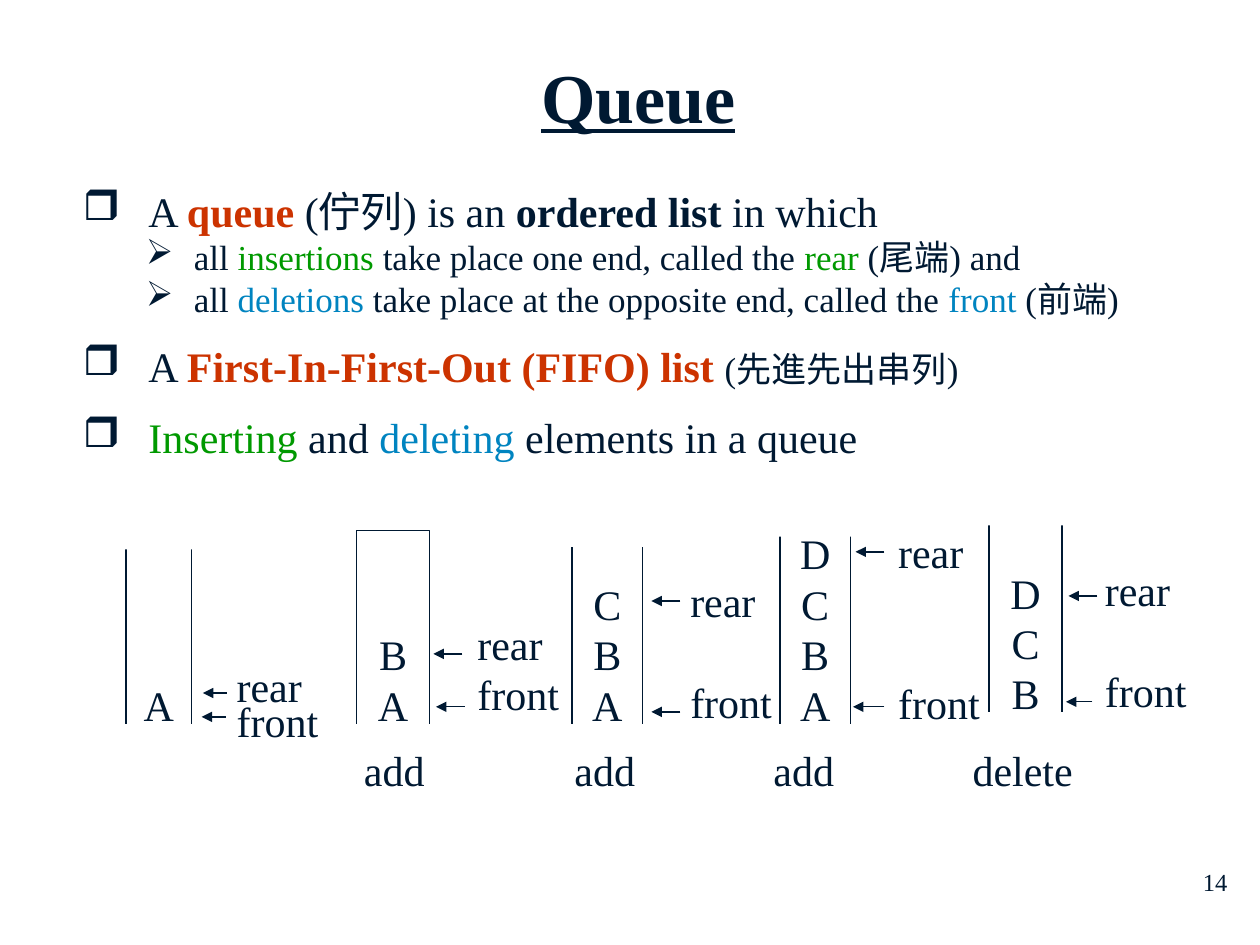
from collections import namedtuple

from lxml.etree import SubElement
from pptx import Presentation
from pptx.dml.color import RGBColor
from pptx.enum.shapes import MSO_CONNECTOR, MSO_SHAPE
from pptx.enum.text import MSO_ANCHOR, PP_ALIGN
from pptx.oxml.ns import qn
from pptx.util import Inches, Pt

NAVY = RGBColor(0x00, 0x19, 0x32)
RED = RGBColor(0xCC, 0x33, 0x00)
GREEN = RGBColor(0x00, 0x99, 0x00)
BLUE = RGBColor(0x00, 0x84, 0xC0)
WHITE = RGBColor(0xFF, 0xFF, 0xFF)
FONT = "Times New Roman"

COLUMNS, ROWS = 100, 75  # square grid cells, 0.1 inch each
CELL = Inches(0.1)
QUEUE_HEIGHT = 15.8
LINE_PITCH = 28.8  # points from one 24-point line to the next

# Horizontal arrows are (tip column, tail column, row).
Stage = namedtuple("Stage", "left top width letters lid_rise label blank_lines arrows")
STAGES = [
    Stage(10, 42.1, 5.2, "A", 1.2, (17.8, 53, 10, 6.6), 0,
          [(16.1, 18, 55), (16, 17.9, 56.9)]),
    Stage(28.3, 42.1, 5.8, "BA", None, (36.9, 48.6, 8.5, 9), 0,
          [(34.4, 36.7, 51.9), (34.6, 36.9, 56.1)]),
    Stage(45.4, 42.1, 5.6, "CBA", 1.4, (53.8, 45.2, 8.5, 13), 1,
          [(51.7, 54, 47.7), (51.7, 54, 56.5)]),
    Stage(61.9, 42.1, 5.6, "DCBA", 2.2, (70.3, 41.3, 8.5, 17), 2,
          [(67.9, 70.2, 43.8), (67.7, 70.2, 56.1)]),
    Stage(78.5, 41.2, 5.8, "DCB", 2.2, (86.7, 44.3, 8.5, 13), 1,
          [(84.8, 87.1, 47.3), (84.6, 86.7, 55.7)]),
]

# Each bullet is (level, space before, size, runs); a run is (text, format).
BULLETS = [
    (0, 0, 24, [("A ", {}), ("queue ", {"color": RED, "bold": True}),
                ("(佇列) is an ", {}), ("ordered list ", {"bold": True}),
                ("in which", {})]),
    (1, 0, 20, [("all ", {}), ("insertions ", {"color": GREEN}),
                ("take place one end, called the ", {}),
                ("rear ", {"color": GREEN}), ("(尾端) and", {})]),
    (1, 0, 20, [("all ", {}), ("deletions", {"color": BLUE}),
                (" take place at the opposite end, called the ", {}),
                ("front ", {"color": BLUE}), ("(前端)", {})]),
    (0, 12, 24, [("A ", {}),
                 ("First-In-First-Out (FIFO) list ", {"color": RED, "bold": True}),
                 ("(先進先出串列)", {"size": 20})]),
    (0, 12, 24, [("Inserting", {"color": GREEN}), (" and ", {}),
                 ("deleting", {"color": BLUE}), (" elements in a queue", {})]),
]
BULLET_STYLES = [("❒", 0.52, 0.52), ("➢", 0.88, 0.38)]  # symbol, margin, hanging


def cells(*counts):
    return [round(count * CELL) for count in counts]


def add_text(paragraph, text, size=24, color=NAVY, bold=False, underline=False):
    run = paragraph.add_run()
    run.text = text
    font = run.font
    font.name, font.size, font.color.rgb = FONT, Pt(size), color
    font.bold, font.underline = bold, underline


def add_lines(frame, lines, align=PP_ALIGN.LEFT, gap=0, spacing=None, **text_format):
    """Write one paragraph per line, with gap points between them."""
    for index, line in enumerate(lines):
        paragraph = frame.add_paragraph() if index else frame.paragraphs[0]
        paragraph.alignment = align
        if index and gap:
            paragraph.space_before = Pt(gap)
        if spacing:
            paragraph.line_spacing = spacing
        add_text(paragraph, line, **text_format)


def add_text_frame(slide, position, wrap=True):
    frame = slide.shapes.add_textbox(*cells(*position)).text_frame
    frame.word_wrap = wrap
    return frame


def add_rectangle(slide, position, fill=None, line=None):
    shape = slide.shapes.add_shape(MSO_SHAPE.RECTANGLE, *cells(*position))
    shape.shadow.inherit = False
    if fill is None:
        shape.fill.background()
    else:
        shape.fill.solid()
        shape.fill.fore_color.rgb = fill
    if line is None:
        shape.line.fill.background()
    else:
        shape.line.color.rgb = line
        shape.line.width = Pt(0.75)
    return shape


def add_arrow(slide, tip, tail, row):
    arrow = slide.shapes.add_connector(
        MSO_CONNECTOR.STRAIGHT, *cells(tail, row, tip, row))
    arrow.line.color.rgb = NAVY
    arrow.line.width = Pt(0.75)
    SubElement(arrow.line._get_or_add_ln(), qn("a:tailEnd"), type="triangle")
    SubElement(arrow._element.spPr, qn("a:effectLst"))


def add_stage(slide, stage):
    """Draw a queue whose lid and base are hidden by white covers."""
    queue = add_rectangle(
        slide, (stage.left, stage.top, stage.width, QUEUE_HEIGHT), line=NAVY)
    frame = queue.text_frame
    frame.word_wrap = False
    frame.vertical_anchor = MSO_ANCHOR.BOTTOM
    frame.margin_bottom = 0
    add_lines(frame, stage.letters, align=PP_ALIGN.CENTER)

    center = stage.left + stage.width / 2
    if stage.lid_rise is not None:
        add_rectangle(
            slide, (center - 5.4, stage.top - stage.lid_rise, 10.8, 2.7), fill=WHITE)
    add_rectangle(slide, (center - 3.35, stage.top + QUEUE_HEIGHT - 0.4, 6.7, 1),
                  fill=WHITE, line=WHITE)

    label = add_text_frame(slide, stage.label, wrap=False)
    add_lines(label, ["rear", "front"], gap=stage.blank_lines * LINE_PITCH,
              spacing=0.7 if stage is STAGES[0] else None)
    for arrow in stage.arrows:
        add_arrow(slide, *arrow)


def add_bullets(slide):
    frame = add_text_frame(slide, (5.6, 14.2, 90.8, 23.2))
    for index, (level, space, size, runs) in enumerate(BULLETS):
        paragraph = frame.add_paragraph() if index else frame.paragraphs[0]
        paragraph.level = level
        if space:
            paragraph.space_before = Pt(space)
        symbol, margin, hanging = BULLET_STYLES[level]
        properties = paragraph._p.get_or_add_pPr()
        properties.set("marL", str(Inches(margin)))
        properties.set("indent", str(-Inches(hanging)))
        bullet_color = SubElement(properties, qn("a:buClr"))
        SubElement(bullet_color, qn("a:srgbClr"), val=str(NAVY))
        SubElement(properties, qn("a:buChar"), char=symbol)
        for text, text_format in runs:
            add_text(paragraph, text, **{"size": size, **text_format})


def add_captions(slide):
    frame = add_text_frame(slide, (10.4, 58.6, 80.2, 5))
    tabs = SubElement(frame.paragraphs[0]._p.get_or_add_pPr(), qn("a:tabLst"))
    for stop in (1.75, 3.42, 5, 6.58):
        SubElement(tabs, qn("a:tab"), pos=str(Inches(stop)), algn="l")
    add_lines(frame, ["\tadd\tadd\tadd\tdelete"])


def add_title(slide):
    title = slide.shapes.title
    title.left, title.top, title.width, title.height = cells(10.8, 3.7, 79.7, 7.7)
    title.text_frame.vertical_anchor = MSO_ANCHOR.MIDDLE
    add_lines(title.text_frame, ["Queue"], align=PP_ALIGN.CENTER,
              size=40, bold=True, underline=True)


def main():
    presentation = Presentation()
    presentation.slide_width, presentation.slide_height = cells(COLUMNS, ROWS)
    slide = presentation.slides.add_slide(presentation.slide_layouts[5])
    add_title(slide)
    add_bullets(slide)
    for stage in STAGES:
        add_stage(slide, stage)
    add_captions(slide)
    page_number = add_text_frame(slide, (77.6, 68.3, 20.8, 5))
    add_lines(page_number, ["14"], align=PP_ALIGN.RIGHT, size=14)
    presentation.save("out.pptx")


if __name__ == "__main__":
    main()
